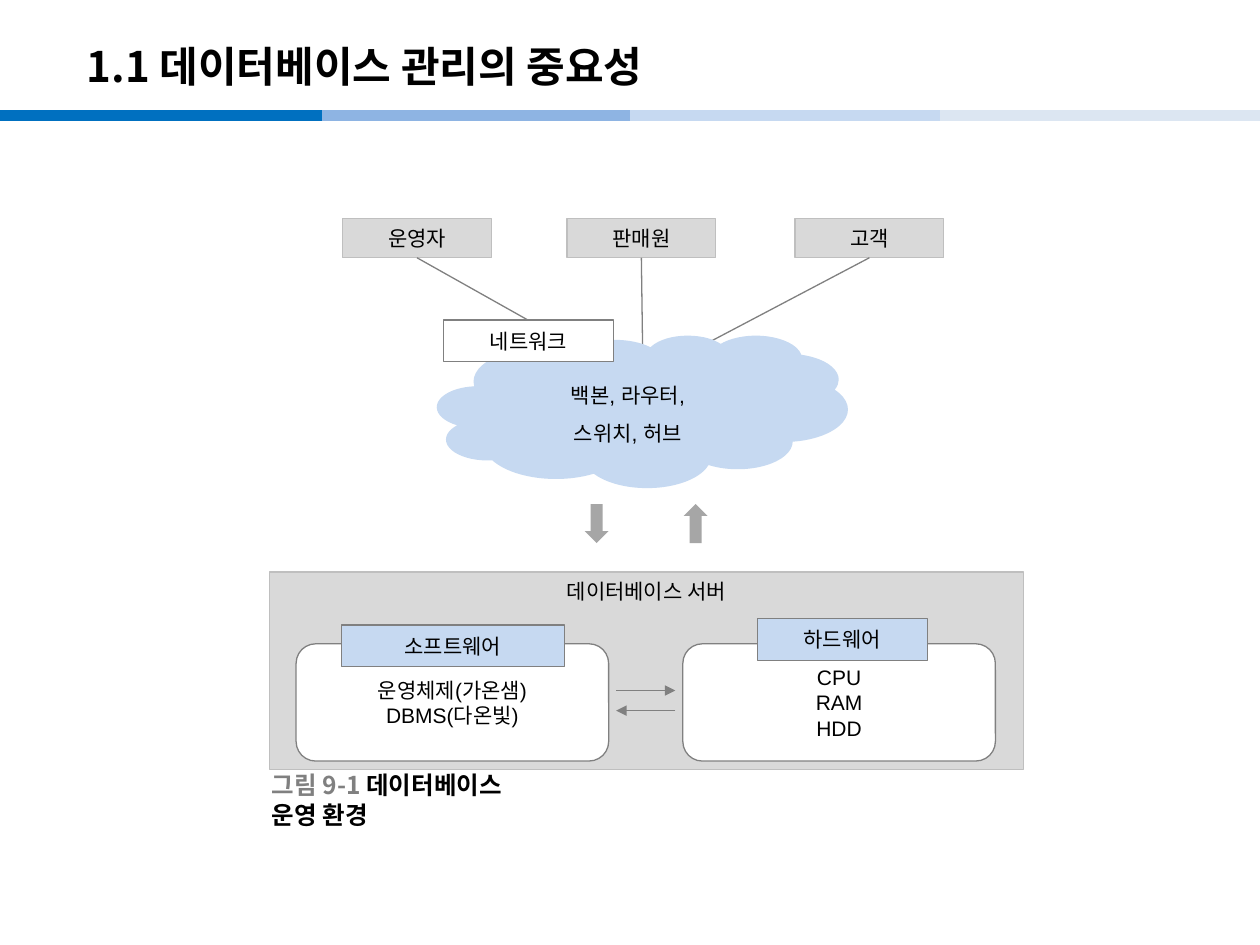
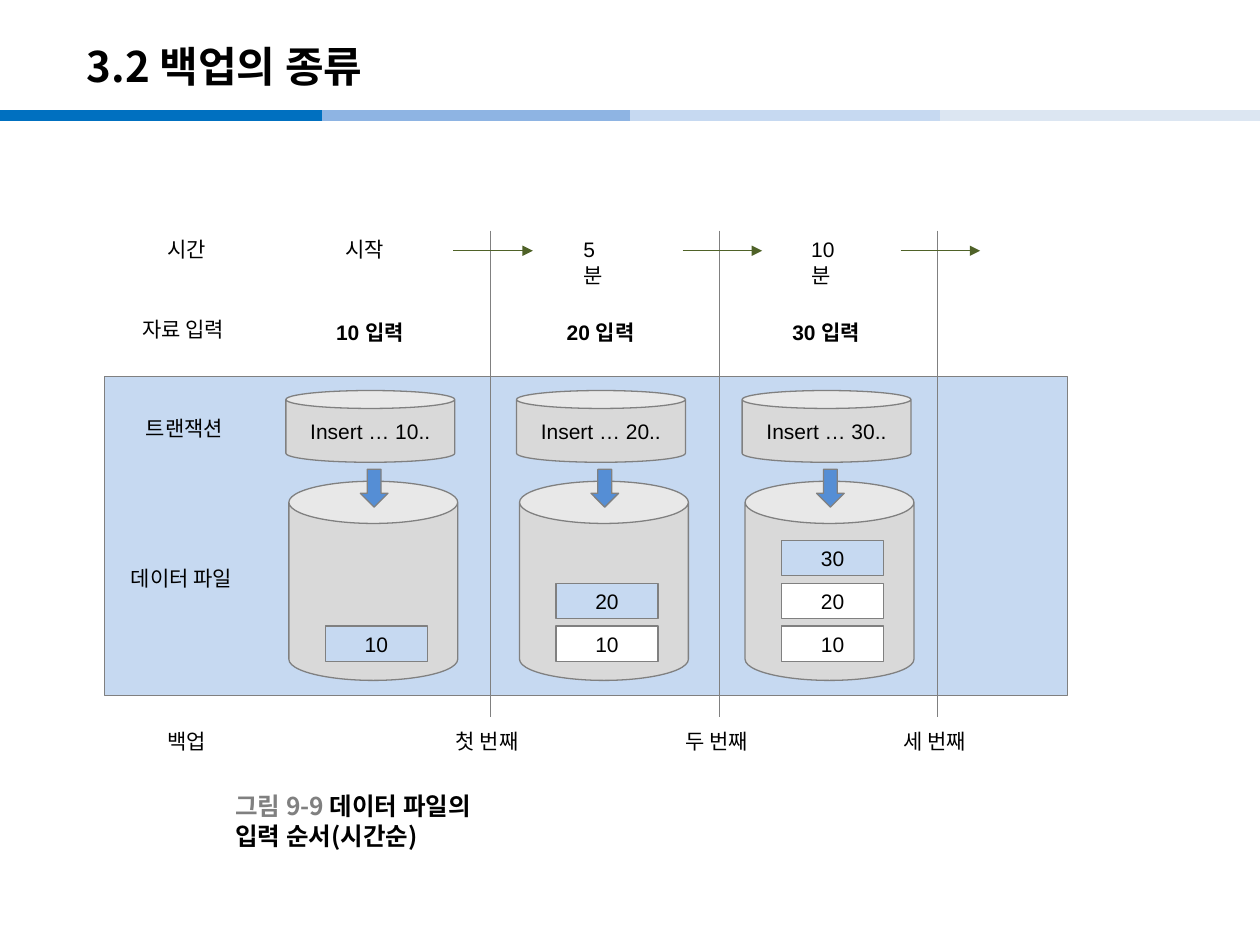
from lxml import etree
from pptx import Presentation
from pptx.dml.color import RGBColor
from pptx.enum.shapes import MSO_CONNECTOR, MSO_SHAPE
from pptx.enum.text import MSO_ANCHOR, PP_ALIGN
from pptx.oxml.ns import qn
from pptx.util import Pt

RECT = MSO_SHAPE.RECTANGLE
ROUND = MSO_SHAPE.ROUNDED_RECTANGLE
PROCESS = MSO_SHAPE.FLOWCHART_PROCESS
CLOUD = MSO_SHAPE.CLOUD_CALLOUT
CAN = MSO_SHAPE.CAN
DOWN = MSO_SHAPE.DOWN_ARROW
UP = MSO_SHAPE.UP_ARROW
STRAIGHT = MSO_CONNECTOR.STRAIGHT
LEFT, CENTER = PP_ALIGN.LEFT, PP_ALIGN.CENTER
TOP, MIDDLE = MSO_ANCHOR.TOP, MSO_ANCHOR.MIDDLE

BODY_FONT, HEAD_FONT = "Arial", "Noto Sans CJK KR"
BLACK, WHITE = "000000", "FFFFFF"
GRAY, SILVER, PALE_GRAY, ARROW_GRAY = "808080", "BFBFBF", "D9D9D9", "A6A6A6"
PALE_BLUE, ARROW_BLUE, OLIVE = "C6D9F1", "558ED5", "4F6228"
BANDS = ((0, "0070C0"), (184.3, "8EB4E3"), (360, PALE_BLUE), (537.1, "DCE6F2"))
BAND_WIDTH, BAND_TOP = 184.3, 66


def color(value):
    return RGBColor.from_string(value)


def style_paragraph(para, size, font, bold=False, align=LEFT):
    para.alignment = align
    para.font.size = Pt(size)
    para.font.name = font
    para.font.bold = bold
    para.font.color.rgb = color(BLACK)


def write_lines(frame, text, bold=False, align=CENTER, spacing=None):
    frame.word_wrap = True
    frame.text = text
    for para in frame.paragraphs:
        style_paragraph(para, 12, BODY_FONT, bold, align)
        if spacing:
            para.line_spacing = spacing


def add_box(page, kind, place, fill, line=None, text="", width=0.75, bold=False,
            spacing=None):
    box = page.shapes.add_shape(kind, *map(Pt, place))
    box.shadow.inherit = False
    box.fill.solid()
    box.fill.fore_color.rgb = color(fill)
    if line:
        box.line.color.rgb = color(line)
        box.line.width = Pt(width)
    else:
        box.line.fill.background()
    if text:
        box.text_frame.vertical_anchor = MIDDLE
        write_lines(box.text_frame, text, bold, spacing=spacing)
    return box


def add_label(page, left, top, width, text):
    box = page.shapes.add_textbox(Pt(left), Pt(top), Pt(width), Pt(21.8))
    write_lines(box.text_frame, text, align=LEFT)


def add_line(page, start, end, line=GRAY, width=0.75, arrow=False):
    link = page.shapes.add_connector(STRAIGHT, *map(Pt, (*start, *end)))
    link.line.color.rgb = color(line)
    link.line.width = Pt(width)
    properties = link._element.spPr
    if arrow:
        etree.SubElement(properties.find(qn("a:ln")), qn("a:tailEnd"), type="triangle")
    etree.SubElement(properties, qn("a:effectLst"))


def add_caption(page, left, top, number, text):
    box = page.shapes.add_textbox(Pt(left), Pt(top), Pt(150.5), Pt(22.3))
    frame = box.text_frame
    frame.word_wrap = False
    frame.vertical_anchor = MIDDLE
    para = frame.paragraphs[0]
    style_paragraph(para, 14, HEAD_FONT, bold=True)
    for words, shade in ((f"그림 {number} ", GRAY), (text, BLACK)):
        span = para.add_run()
        span.text = words
        span.font.color.rgb = color(shade)


def add_page(deck, heading):
    page = deck.slides.add_slide(deck.slide_layouts[5])
    for left, shade in BANDS:
        add_line(page, (left, BAND_TOP), (left + BAND_WIDTH, BAND_TOP), shade, 6)
    title = page.shapes.title
    title.left, title.top, title.width, title.height = map(Pt, (42.5, 15.8, 595.4, 43.2))
    title.text_frame.text = heading
    title.text_frame.vertical_anchor = MIDDLE
    style_paragraph(title.text_frame.paragraphs[0], 24, HEAD_FONT, bold=True)
    return page


def build_environment(deck):
    page = add_page(deck, "1.1 데이터베이스 관리의 중요성")
    users = (
        (195.8, "운영자", (301.7, 182.9)),
        (324, "판매원", (367.2, 198.7)),
        (454.3, "고객", (403.2, 196.6)),
    )
    for left, name, network_point in users:
        add_box(page, RECT, (left, 125, 85, 22.3), PALE_GRAY, SILVER, name)
        add_line(page, (left + 42.5, 147.3), network_point)
    for kind, left in ((DOWN, 334.1), (UP, 390.6)):
        add_box(page, kind, (left, 288, 13.7, 22.3), ARROW_GRAY)

    server = add_box(page, PROCESS, (154.1, 326.9, 430.6, 113), PALE_GRAY, SILVER,
                     "데이터베이스 서버")
    server.text_frame.vertical_anchor = TOP
    server.text_frame.margin_top = Pt(4)
    parts = (
        (169.2, "운영체제(가온샘)\nDBMS(다온빛)", (195.1, 357.1, 127.4, 23.8), "소프트웨어"),
        (390.2, "CPU\nRAM\nHDD", (432.7, 353.5, 97.2, 23.8), "하드웨어"),
    )
    for left, content, tab, name in parts:
        add_box(page, ROUND, (left, 367.9, 178.6, 67), WHITE, GRAY, content)
        add_box(page, RECT, tab, PALE_BLUE, GRAY, name)
    add_line(page, (352.1, 394.6), (385.9, 394.6), arrow=True)
    add_line(page, (385.9, 406.1), (352.1, 406.1), arrow=True)

    cloud = add_box(page, CLOUD, (249.8, 191.5, 234.7, 87.1), PALE_BLUE,
                    text="백본, 라우터,\n스위치, 허브", spacing=1.5)
    cloud.adjustments[0] = -0.107
    cloud.adjustments[1] = 0.072
    add_box(page, RECT, (253.4, 182.9, 97.2, 23.8), WHITE, GRAY, "네트워크")
    add_caption(page, 148.3, 445.7, "9-1", "데이터베이스 운영 환경")


def build_backup(deck):
    page = add_page(deck, "3.2 백업의 종류")
    add_box(page, RECT, (59.8, 215.3, 550, 182.2), PALE_BLUE, GRAY, width=0.25)
    row_labels = (
        (88.6, 131.8, 38.9, "시간"),
        (74.2, 177.1, 67, "자료 입력"),
        (76.3, 234, 63.4, "트랜잭션"),
        (67.7, 319.7, 79.2, "데이터 파일"),
        (88.6, 412.6, 38.9, "백업"),
    )
    for label in row_labels:
        add_label(page, *label)

    steps = (
        (163.4, 280.1, (190.1, 131.8, 38.9, "시작"), "첫 번째"),
        (295.2, 411.1, (326.2, 131.8, 29, "5분"), "두 번째"),
        (424.1, 535.7, (456.5, 131.8, 36, "10분"), "세 번째"),
    )
    for count, (left, divider, time_label, backup) in enumerate(steps, 1):
        newest = count * 10
        add_box(page, CAN, (left, 223.2, 96.5, 41), PALE_GRAY, GRAY,
                f"Insert … {newest}..")
        add_box(page, CAN, (left + 1.7, 275, 96.5, 113.8), PALE_GRAY, GRAY)
        for row in range(count):
            value = (row + 1) * 10
            fill = PALE_BLUE if value == newest else WHITE
            add_box(page, RECT, (left + 22.5, 357.8 - row * 24.5, 58.3, 20.2), fill,
                    GRAY, str(value))
        add_box(page, DOWN, (left + 42.5, 268.2, 15.8, 21.6), ARROW_BLUE, GRAY)
        add_line(page, (divider, 131.8), (divider, 409.7))
        add_box(page, RECT, (left + 19.2, 177.1, 57.6, 25.2), WHITE,
                text=f"{newest} 입력", bold=True)
        add_label(page, *time_label)
        add_line(page, (divider - 21, 143.3), (divider + 24.4, 143.3), OLIVE, arrow=True)
        add_label(page, divider - 26.6, 412.6, 55.4, backup)
    add_caption(page, 127.4, 457.9, "9-9", "데이터 파일의 입력 순서(시간순)")


def main():
    deck = Presentation()
    deck.slide_width, deck.slide_height = Pt(720), Pt(540)
    build_environment(deck)
    build_backup(deck)
    deck.save("out.pptx")


if __name__ == "__main__":
    main()
